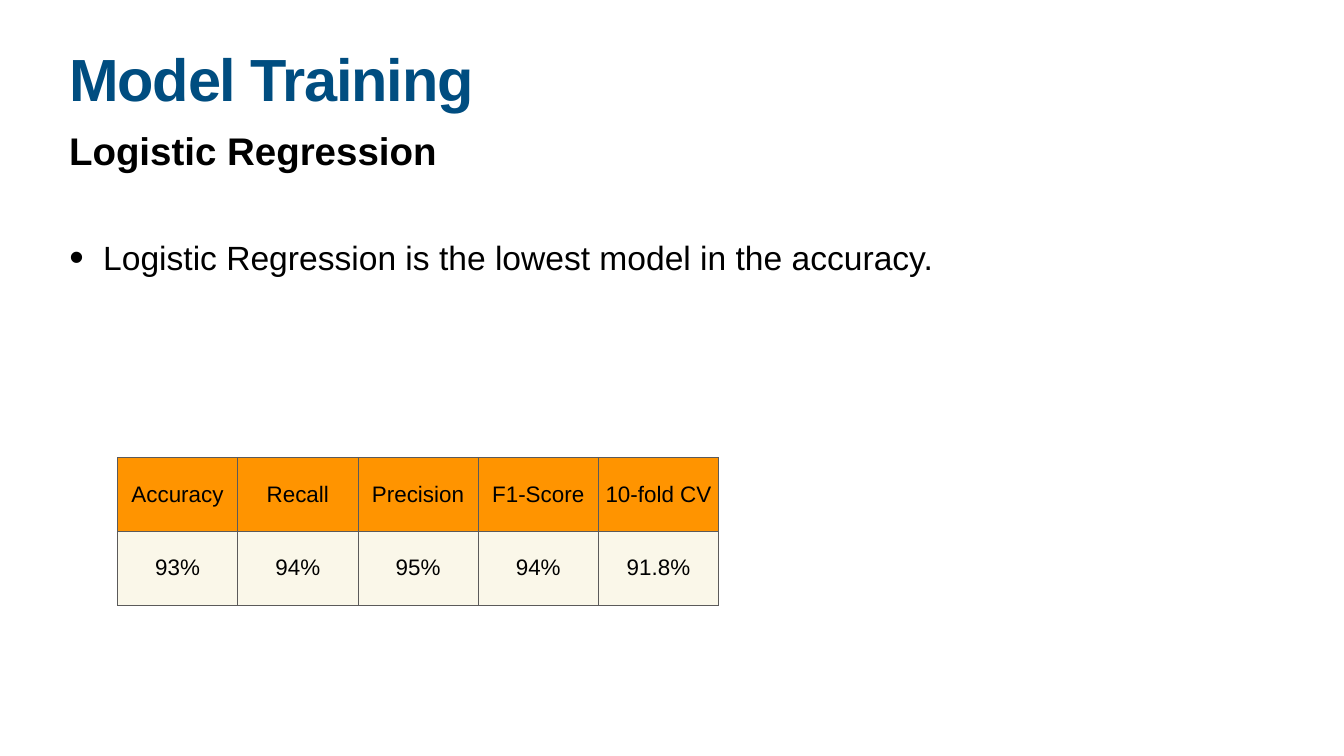
from dataclasses import dataclass

import pptx
import pptx.dml.color
import pptx.enum.text
import pptx.oxml
import pptx.oxml.ns
import pptx.util
from pptx.util import Cm

RGB = pptx.dml.color.RGBColor.from_string
ANCHOR = pptx.enum.text.MSO_ANCHOR
ALIGN = pptx.enum.text.PP_ALIGN
NO_FIT = pptx.enum.text.MSO_AUTO_SIZE.NONE


@dataclass(frozen=True)
class Theme:
    font: str = "Arial"
    title: str = "004D80"
    ink: str = "000000"
    header_fill: str = "FF9400"
    score_fill: str = "FAF7E9"
    rule: str = "5B5A5A"
    title_size: int = 85
    subtitle_size: int = 55
    list_size: int = 48
    table_size: int = 32


THEME = Theme()
SCORES = [
    ("Accuracy", "Recall", "Precision", "F1-Score", "10-fold CV"),
    ("93%", "94%", "95%", "94%", "91.8%"),
]


def xml(tag, body="", **attributes):
    listed = "".join(f' {name}="{value}"' for name, value in attributes.items())
    return pptx.oxml.parse_xml(
        f'<a:{tag} {pptx.oxml.ns.nsdecls("a")}{listed}>{body}</a:{tag}>')


def style(paragraph, size, color=THEME.ink, bold=False, align=ALIGN.LEFT):
    paragraph.alignment = align
    paragraph.space_before = pptx.util.Pt(0)
    font = paragraph.font
    font.name = THEME.font
    font.size = pptx.util.Pt(size)
    font.bold = bold
    font.color.rgb = RGB(color)


def fill_placeholder(holder, box, text, inset):
    """Move a placeholder into box and return its only paragraph."""
    holder.left, holder.top, holder.width, holder.height = box
    frame = holder.text_frame
    frame.text = text
    frame.word_wrap = True
    frame.auto_size = NO_FIT
    frame.vertical_anchor = ANCHOR.TOP
    frame.margin_left = frame.margin_right = inset
    frame.margin_top = frame.margin_bottom = inset
    return frame.paragraphs[0]


def add_heading(slide, left, top, width):
    title = fill_placeholder(
        slide.shapes.title, (left, top, width, Cm(3.99)), "Model Training", Cm(0.15))
    title.line_spacing = 0.8
    style(title, THEME.title_size, THEME.title, bold=True)
    title.runs[0].font._element.set("spc", "-170")

    subtitle = fill_placeholder(
        slide.placeholders[1], (left, top + Cm(3.61), width, Cm(2.59)),
        "Logistic Regression", Cm(0.13))
    properties = subtitle._p.get_or_add_pPr()
    properties.set("marL", "0")
    properties.set("indent", "0")
    properties.append(xml("buNone"))
    style(subtitle, THEME.subtitle_size, bold=True)


def add_findings(slide, left, top, width, height):
    finding = fill_placeholder(
        slide.placeholders[2], (left, top, width, height),
        "Logistic Regression is the lowest model in the accuracy.", Cm(0.15))
    hang = Cm(1.7)
    properties = finding._p.get_or_add_pPr()
    properties.set("marL", str(hang))
    properties.set("indent", str(-hang))
    properties.append(xml("buSzPct", val=123000))
    properties.append(xml("buFont", typeface=THEME.font))
    properties.append(xml("buChar", char="•"))
    style(finding, THEME.list_size)


def style_cell(cell, text, fill):
    cell.text = text
    cell.vertical_anchor = ANCHOR.MIDDLE
    cell.margin_left = cell.margin_right = Cm(0.15)
    cell.margin_top = cell.margin_bottom = Cm(0.15)
    style(cell.text_frame.paragraphs[0], THEME.table_size, align=ALIGN.CENTER)
    color = f'<a:solidFill><a:srgbClr val="{THEME.rule}"/></a:solidFill>'
    for side in ("lnL", "lnR", "lnT", "lnB"):
        cell._tc.get_or_add_tcPr().append(xml(side, color, w=pptx.util.Pt(1)))
    cell.fill.solid()
    cell.fill.fore_color.rgb = RGB(fill)


def add_scores(slide, left, top, width, height):
    scores = slide.shapes.add_table(
        len(SCORES), len(SCORES[0]), left, top, width, height).table
    scores.first_row = scores.horz_banding = False
    for r, (values, fill) in enumerate(zip(SCORES, (THEME.header_fill, THEME.score_fill))):
        for c, value in enumerate(values):
            style_cell(scores.cell(r, c), value, fill)


def main():
    deck = pptx.Presentation()
    deck.slide_width, deck.slide_height = Cm(67.74), Cm(38.1)
    slide = deck.slides.add_slide(deck.slide_layouts.get_by_name("Two Content"))
    margin, width = Cm(3.35), Cm(61.04)
    add_heading(slide, margin, Cm(2.64), width)
    add_findings(slide, margin, Cm(11.81), width, Cm(22.94))
    add_scores(slide, Cm(5.92), Cm(23.06), Cm(30.3), Cm(7.42))
    deck.save("out.pptx")


if __name__ == "__main__":
    main()
